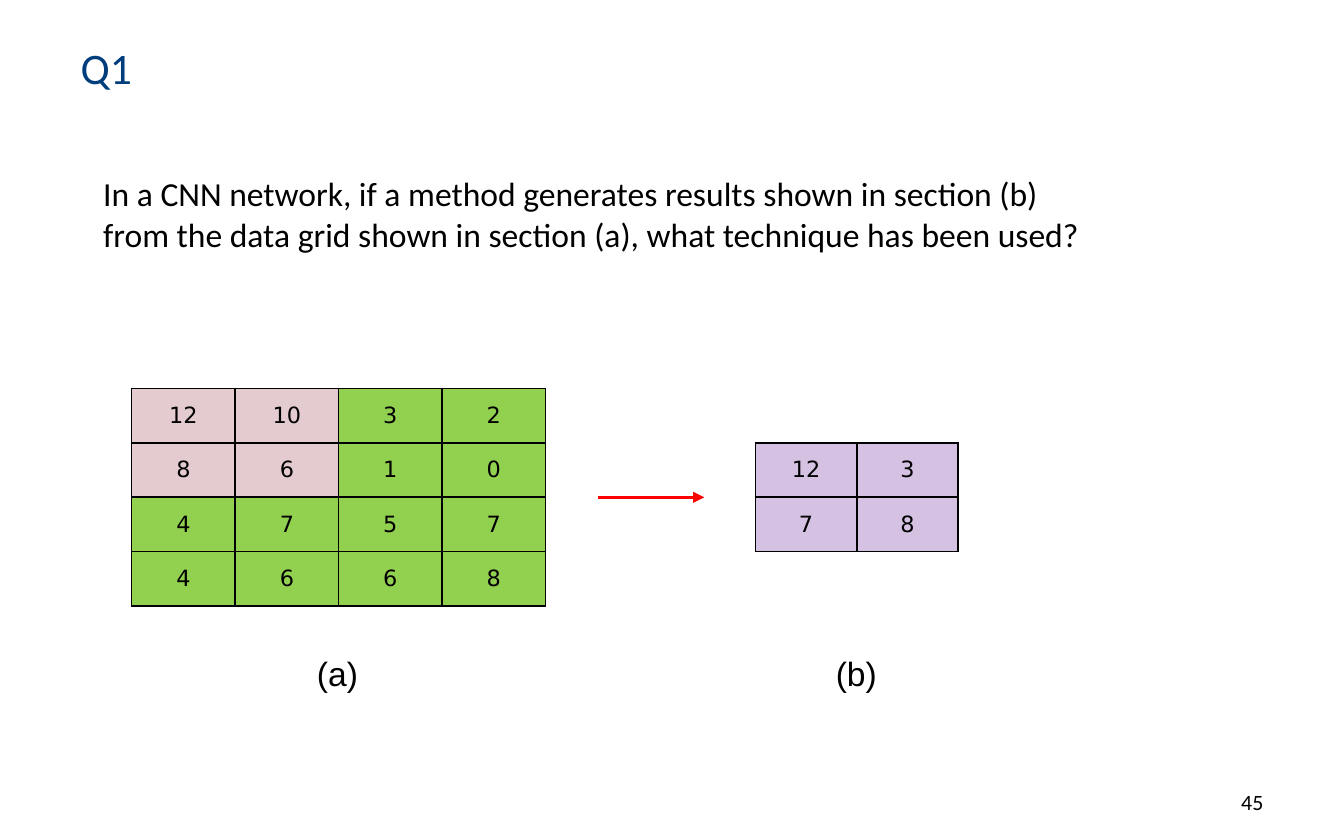
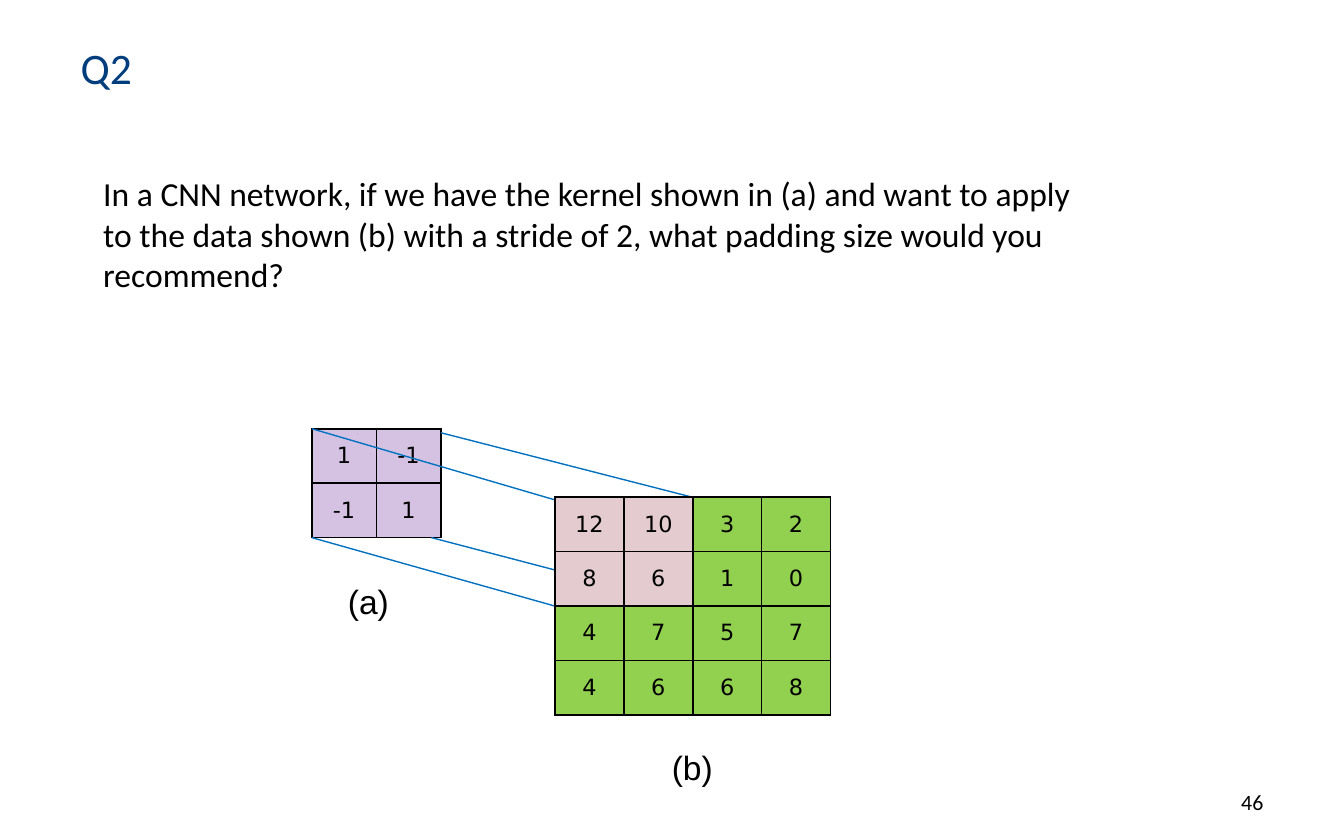
import dataclasses

import lxml.etree
import pptx
import pptx.dml.color
import pptx.enum.shapes
import pptx.enum.text
import pptx.oxml.ns
import pptx.util

COLUMNS, ROWS = 200, 125
CELL_HEIGHT = 8.1
TITLE_ONLY = 5

PIXELS = [[12, 10, 3, 2], [8, 6, 1, 0], [4, 7, 5, 7], [4, 6, 6, 8]]
POOLED = [[12, 3], [7, 8]]
KERNEL = [[1, -1], [-1, 1]]

ALIGN = pptx.enum.text.PP_ALIGN
ANCHOR = pptx.enum.text.MSO_ANCHOR
AUTO_SIZE = pptx.enum.text.MSO_AUTO_SIZE


@dataclasses.dataclass(frozen=True)
class Theme:
    text_font: str = "Calibri"
    label_font: str = "Arial"
    cell_font: str = "DejaVu Sans"
    title_size: float = 23.3
    body_size: float = 18
    cell_size: float = 12
    number_size: float = 11.7
    title: str = "003D7D"
    ink: str = "000000"
    data: str = "92D050"
    window: str = "E3CBD0"
    result: str = "7030A0"
    result_opacity: int = 29
    arrow: str = "FF0000"
    projection: str = "0070C0"


def rgb(color):
    return pptx.dml.color.RGBColor.from_string(color)


def add_xml(parent, tag, **attributes):
    return lxml.etree.SubElement(parent, pptx.oxml.ns.qn(tag), attributes)


def set_borders(cell, color, width):
    """Insert the four edges ahead of the fill, as the schema requires."""
    properties = cell._tc.get_or_add_tcPr()
    for index, tag in enumerate(("a:lnL", "a:lnR", "a:lnT", "a:lnB")):
        line = add_xml(properties, tag, w=str(pptx.util.Pt(width)))
        add_xml(add_xml(line, "a:solidFill"), "a:srgbClr", val=color)
        properties.insert(index, line)


class Deck:
    """Places elements on the current slide; lengths are grid columns and rows."""

    def __init__(self, theme):
        self.theme = theme
        self.presentation = pptx.Presentation()
        self.presentation.slide_width = pptx.util.Inches(10)
        self.presentation.slide_height = pptx.util.Inches(6.25)
        self.slide = None

    def x(self, columns):
        return round(self.presentation.slide_width * columns / COLUMNS)

    def y(self, rows):
        return round(self.presentation.slide_height * rows / ROWS)

    def box(self, left, top, width, height):
        return self.x(left), self.y(top), self.x(width), self.y(height)

    def add_text_run(self, frame, text, font, size, color, align=ALIGN.LEFT):
        paragraph = frame.paragraphs[0]
        paragraph.alignment = align
        run = paragraph.add_run()
        run.text = str(text)
        run.font.name = font
        run.font.size = pptx.util.Pt(size)
        run.font.color.rgb = rgb(color)

    def new_slide(self, title, number):
        theme = self.theme
        layout = self.presentation.slide_layouts[TITLE_ONLY]
        self.slide = self.presentation.slides.add_slide(layout)
        shape = self.slide.shapes.title
        shape.left, shape.top, shape.width, shape.height = self.box(10, -0.4, 180, 20.8)
        frame = shape.text_frame
        frame.auto_size = AUTO_SIZE.NONE
        frame.vertical_anchor = ANCHOR.MIDDLE
        self.add_text_run(frame, title, theme.text_font, theme.title_size, theme.title)
        self.text(number, (143.4, 116.4, 46.6, 6.2), theme.text_font,
                  theme.number_size, align=ALIGN.RIGHT)

    def text(self, text, area, font, size, align=ALIGN.LEFT, wrap=True,
             auto_size=AUTO_SIZE.NONE):
        frame = self.slide.shapes.add_textbox(*self.box(*area)).text_frame
        frame.word_wrap = wrap
        frame.auto_size = auto_size
        self.add_text_run(frame, text, font, size, self.theme.ink, align)

    def question(self, text, height):
        self.text(text, (13.4, 24.8, 151.2, height), self.theme.text_font,
                  self.theme.body_size, auto_size=AUTO_SIZE.SHAPE_TO_FIT_TEXT)

    def label(self, text, left, top):
        self.text(text, (left, top, 10.2, 8), self.theme.label_font,
                  self.theme.body_size, wrap=False,
                  auto_size=AUTO_SIZE.SHAPE_TO_FIT_TEXT)

    def matrix(self, values, left, top, cell_width, fill_of, opacity=None):
        """Draw a number grid; fill_of gives the colour at a row and column."""
        theme = self.theme
        rows, columns = len(values), len(values[0])
        area = self.box(left, top, columns * cell_width, rows * CELL_HEIGHT)
        table = self.slide.shapes.add_table(rows, columns, *area).table
        table.first_row = table.horz_banding = False
        for row, line in enumerate(values):
            for column, value in enumerate(line):
                cell = table.cell(row, column)
                cell.vertical_anchor = ANCHOR.MIDDLE
                cell.fill.solid()
                cell.fill.fore_color.rgb = rgb(fill_of(row, column))
                if opacity is not None:
                    color = cell._tc.tcPr.find(".//" + pptx.oxml.ns.qn("a:srgbClr"))
                    add_xml(color, "a:alpha", val=str(opacity * 1000))
                set_borders(cell, theme.ink, 1)
                self.add_text_run(cell.text_frame, value, theme.cell_font,
                                  theme.cell_size, theme.ink, ALIGN.CENTER)

    def data_matrix(self, left, top, cell_width):
        theme = self.theme
        self.matrix(PIXELS, left, top, cell_width,
                    lambda row, column: theme.window if max(row, column) < 2 else theme.data)

    def result_matrix(self, values, left, top, cell_width):
        self.matrix(values, left, top, cell_width,
                    lambda row, column: self.theme.result, self.theme.result_opacity)

    def line(self, start, end, color, width, arrow=False):
        connector = self.slide.shapes.add_connector(
            pptx.enum.shapes.MSO_CONNECTOR.STRAIGHT,
            self.x(start[0]), self.y(start[1]), self.x(end[0]), self.y(end[1]))
        connector.line.color.rgb = rgb(color)
        connector.line.width = pptx.util.Pt(width)
        if arrow:
            add_xml(connector.line._get_or_add_ln(), "a:tailEnd", type="triangle")
        add_xml(connector._element.spPr, "a:effectLst")


def build_pooling_question(deck):
    deck.new_slide("Q1", 45)
    deck.question("In a CNN network, if a method generates results shown in section (b) "
                  "from the data grid shown in section (a), what technique has been used?", 14.2)
    deck.data_matrix(19.6, 57.8, 15.4)
    deck.result_matrix(POOLED, 112.4, 65.9, 15.1)
    deck.line((89, 74), (104.8, 74), deck.theme.arrow, 1.75, arrow=True)
    deck.label("(a)", 45.2, 96.2)
    deck.label("(b)", 122.4, 96.2)


def build_padding_question(deck):
    deck.new_slide("Q2", 46)
    kernel_left, kernel_top, kernel_cell = 46.4, 63.8, 9.6
    kernel_right = kernel_left + 2 * kernel_cell
    kernel_bottom = kernel_top + 2 * CELL_HEIGHT
    data_left, data_top, data_cell = 82.6, 74, 10.25
    window_right = data_left + 2 * data_cell
    window_bottom = data_top + 2 * CELL_HEIGHT

    deck.result_matrix(KERNEL, kernel_left, kernel_top, kernel_cell)
    deck.question("In a CNN network, if we have the kernel shown in (a) and want to apply "
                  "to the data shown (b) with a stride of 2, what padding size would you "
                  "recommend?", 20.2)
    projections = [
        ((kernel_left, kernel_top), (data_left, data_top + 0.4)),
        ((kernel_left, kernel_bottom), (data_left, window_bottom)),
        ((kernel_right - 1.4, kernel_bottom), (window_right, window_bottom)),
        ((kernel_right, kernel_top + 0.6), (window_right + 1.5, data_top + 0.4)),
    ]
    for start, end in projections:
        deck.line(start, end, deck.theme.projection, 0.75)
    deck.data_matrix(data_left, data_top, data_cell)
    deck.label("(a)", 49.8, 85.4)
    deck.label("(b)", 98, 110.2)


def main():
    deck = Deck(Theme())
    build_pooling_question(deck)
    build_padding_question(deck)
    deck.presentation.save("out.pptx")


if __name__ == "__main__":
    main()
